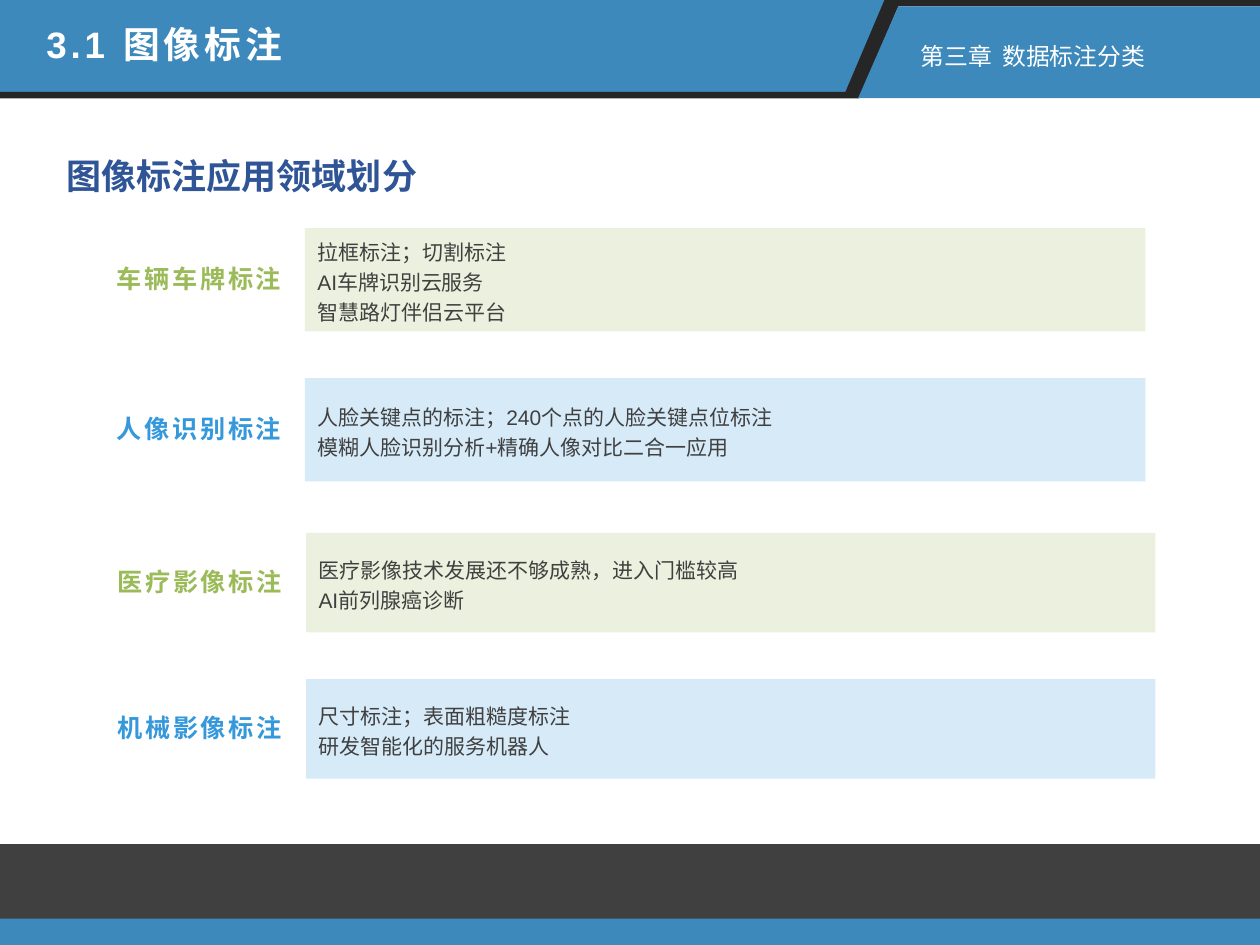
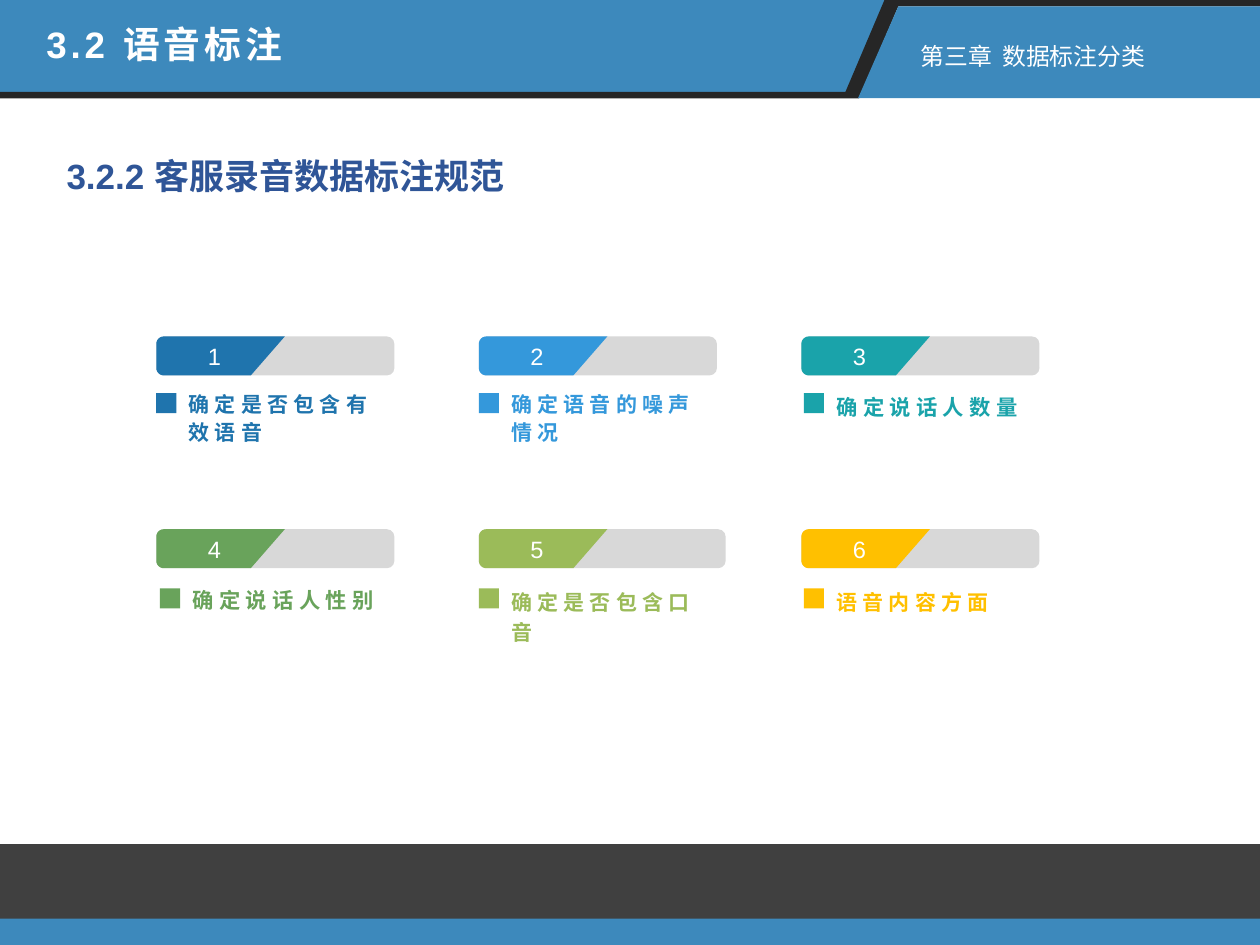
from dataclasses import dataclass
from math import cos, pi, sin

from pptx import Presentation
from pptx.dml.color import RGBColor
from pptx.enum.shapes import MSO_SHAPE
from pptx.enum.text import MSO_ANCHOR, PP_ALIGN
from pptx.oxml.ns import qn
from pptx.util import Inches, Pt


@dataclass(frozen=True)
class Theme:
    band: str = "3D89BC"
    edge: str = "262626"
    dark: str = "404040"
    white: str = "FFFFFF"
    head: str = "2F5597"
    grey: str = "D8D8D8"
    navy: str = "1F74AD"
    blue: str = "3498DB"
    teal: str = "1AA3AA"
    green: str = "69A35B"
    lime: str = "9BBB59"
    gold: str = "FFC000"
    mint: str = "EBF1DE"
    sky: str = "D6EAF8"
    latin: str = "Arial"
    asian: str = "Noto Sans CJK SC"
    title: float = 21
    topic: float = 20
    label: float = 14.4
    note: float = 13.6
    digit: float = 13.5
    body: float = 12
    wide: float = 12.2


class Deck:
    def __init__(self, theme):
        self.theme = theme
        self.show = Presentation()
        self.show.slide_width = Inches(10)
        self.show.slide_height = Inches(7.5)
        self.slide = None

    def paint(self, shape, fill):
        shape.shadow.inherit = False
        shape.fill.solid()
        shape.fill.fore_color.rgb = RGBColor.from_string(fill)
        shape.line.fill.background()
        return shape

    def box(self, left, top, width, height, fill, kind=MSO_SHAPE.RECTANGLE):
        area = [Inches(v) for v in (left, top, width, height)]
        return self.paint(self.slide.shapes.add_shape(kind, *area), fill)

    def form(self, points, fill):
        spots = [(Inches(x), Inches(y)) for x, y in points]
        maker = self.slide.shapes.build_freeform(*spots[0], scale=1.0)
        maker.add_line_segments(spots[1:], close=True)
        return self.paint(maker.convert_to_shape(), fill)

    def letter(self, shape, lines, size, color, bold=False, space=0, lead=None,
               align=PP_ALIGN.LEFT, anchor=MSO_ANCHOR.MIDDLE, face=None):
        frame = shape.text_frame
        frame.word_wrap = True
        frame.vertical_anchor = anchor
        for i, line in enumerate(lines):
            para = frame.add_paragraph() if i else frame.paragraphs[0]
            para.alignment = align
            if lead:
                para.line_spacing = lead
            for part, gap in [(line, space)] if isinstance(line, str) else line:
                run = para.add_run()
                run.text = part
                font = run.font
                font.size = Pt(size)
                font.bold = bold
                font.color.rgb = RGBColor.from_string(color)
                font.name = face or self.theme.latin
                props = run._r.get_or_add_rPr()
                props.set("lang", "zh-CN")
                if gap:
                    props.set("spc", str(round(gap * 100)))
                east = props.makeelement(qn("a:ea"), {"typeface": self.theme.asian})
                props.find(qn("a:latin")).addnext(east)
        return frame

    def text(self, left, top, width, height, line, size, color, **style):
        area = [Inches(v) for v in (left, top, width, height)]
        style.setdefault("anchor", MSO_ANCHOR.TOP)
        return self.letter(self.slide.shapes.add_textbox(*area), [line], size, color, **style)

    def page(self, title, topic):
        t = self.theme
        self.slide = self.show.slides.add_slide(self.show.slide_layouts[6])
        self.form([(0, 0), (7.05, 0), (6.74, 0.73), (0, 0.73)], t.band)
        self.form([(7.02, 0), (10, 0), (10, 0.05), (7.13, 0.05), (6.82, 0.78),
                   (0, 0.78), (0, 0.73), (6.71, 0.73)], t.edge)
        self.form([(7.13, 0.05), (10, 0.05), (10, 0.78), (6.81, 0.78)], t.band)
        self.box(0, 6.7, 10, 0.6, t.dark)
        self.box(0, 7.29, 10, 0.21, t.band)
        self.text(0.27, 0.12, 3.91, 0.45, title, t.title, t.white, bold=True, space=2.2)
        self.text(7.21, 0.28, 2.7, 0.33, [("第三章", 0), (" ", 3), ("数据标注分类", 0)],
                  t.note, t.white)
        self.text(0.43, 1.04, 7.87, 0.59, topic, t.topic, t.head, bold=True, lead=1.4)

    def row(self, top, left, width, height, name, lines, color, fill):
        t = self.theme
        panel = self.box(left, top, width, height, fill)
        self.letter(panel, lines, t.body, t.dark, lead=1.2)
        self.text(0.77, top + 0.11, left - 0.8, height - 0.24, name, t.label, color,
                  bold=True, space=1.5, align=PP_ALIGN.CENTER, anchor=MSO_ANCHOR.MIDDLE)

    def tab(self, left, top, width, number, color):
        t, high, bend = self.theme, 0.31, 0.06
        bar = self.box(left, top, width, high, t.grey, MSO_SHAPE.ROUNDED_RECTANGLE)
        bar.adjustments[0] = bend / high
        points = [(left + 1.02, top), (left + 0.75, top + high)]
        for base, mid in ((pi / 2, top + high - bend), (pi, top + bend)):
            for step in range(7):
                turn = base + step * pi / 12
                points.append((left + bend + bend * cos(turn), mid + bend * sin(turn)))
        frame = self.letter(self.form(points, color), [str(number)], t.digit, t.white,
                            align=PP_ALIGN.CENTER)
        frame.margin_left = 0

    def item(self, left, top, words, size, color, lead):
        self.box(left, top + 0.08, 0.16, 0.16, color)
        self.text(left + 0.16, top, 1.73, 0.54, words, size, color, bold=True,
                  space=3, lead=lead, face=self.theme.asian)


def fields(deck):
    t = deck.theme
    deck.page("3.1 图像标注", "图像标注应用领域划分")
    upper, lower = (2.42, 6.67, 0.82), (2.43, 6.74, 0.79)
    rows = [
        (1.81, upper, "车辆车牌标注",
         ["拉框标注；切割标注", "AI车牌识别云服务", "智慧路灯伴侣云平台"]),
        (3, upper, "人像识别标注",
         ["人脸关键点的标注；240个点的人脸关键点位标注",
          "模糊人脸识别分析+精确人像对比二合一应用"]),
        (4.23, lower, "医疗影像标注",
         ["医疗影像技术发展还不够成熟，进入门槛较高", "AI前列腺癌诊断"]),
        (5.39, lower, "机械影像标注",
         ["尺寸标注；表面粗糙度标注", "研发智能化的服务机器人"]),
    ]
    for i, (top, size, name, lines) in enumerate(rows):
        color, fill = ((t.lime, t.mint), (t.blue, t.sky))[i % 2]
        deck.row(top, *size, name, lines, color, fill)


def rules(deck):
    t = deck.theme
    deck.page("3.2 语音标注", "3.2.2 客服录音数据标注规范")
    items = [
        ("确定是否包含有效语音", t.navy, 1.89, 0, t.body, 1.1),
        ("确定语音的噪声情况", t.blue, 1.89, 0, t.body, 1.1),
        ("确定说话人数量", t.teal, 1.89, 0.02, t.wide, 1.2),
        ("确定说话人性别", t.green, 1.89, 0.03, t.wide, 1.1),
        ("确定是否包含口音", t.lime, 1.96, 0, t.body, 1.2),
        ("语音内容方面", t.gold, 1.89, 0.02, t.body, 1.2),
    ]
    for i, (words, color, width, shift, size, lead) in enumerate(items):
        line, col = divmod(i, 3)
        left = 1.24 + 2.56 * col
        deck.tab(left, 2.67 + 1.53 * line, width, i + 1, color)
        deck.item(left + shift, 3.04 + 1.55 * line, words, size, color, lead)


def main():
    deck = Deck(Theme())
    fields(deck)
    rules(deck)
    deck.show.save("out.pptx")


if __name__ == "__main__":
    main()
